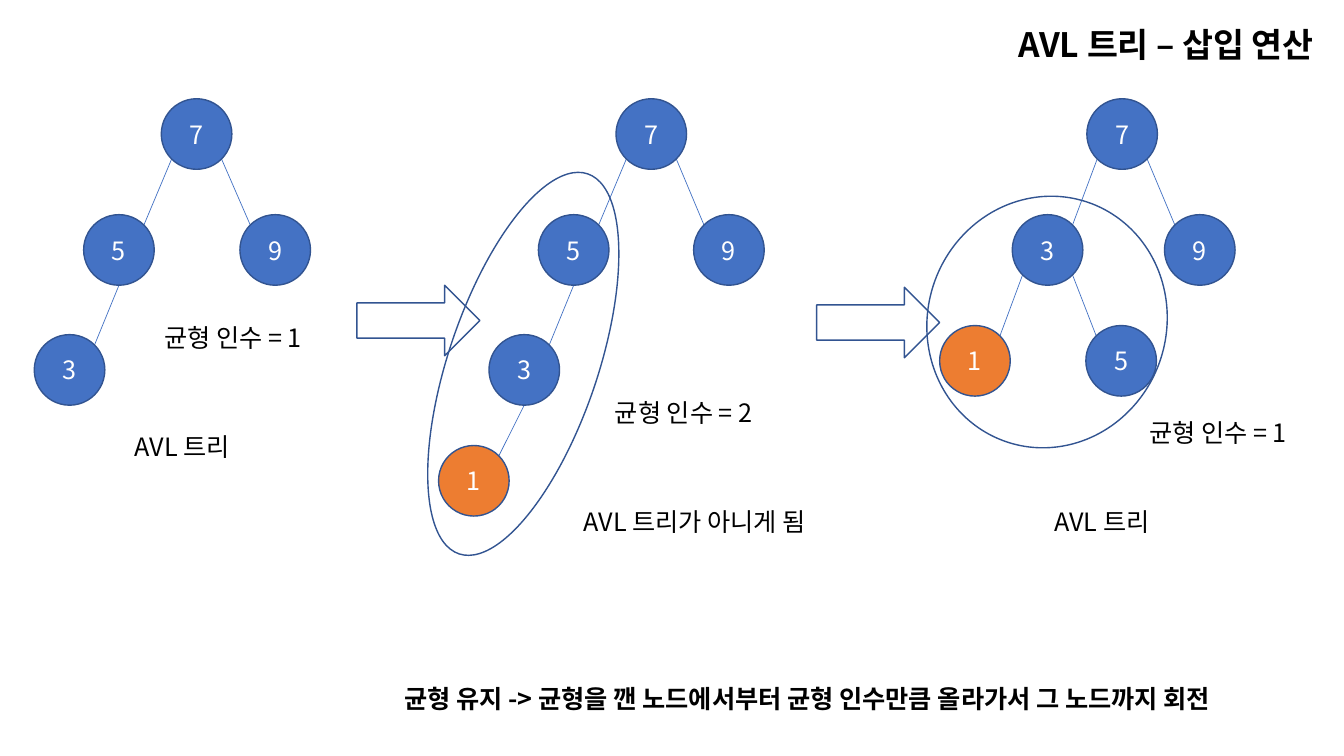
from math import cos, radians, sin

from lxml import etree
from pptx import Presentation
from pptx.dml.color import RGBColor
from pptx.enum.shapes import MSO_CONNECTOR, MSO_SHAPE
from pptx.enum.text import MSO_ANCHOR, MSO_AUTO_SIZE, PP_ALIGN
from pptx.oxml.ns import qn
from pptx.util import Inches, Pt

OVAL, ARROW = MSO_SHAPE.OVAL, MSO_SHAPE.RIGHT_ARROW
STRAIGHT = MSO_CONNECTOR.STRAIGHT
TOP, MIDDLE = MSO_ANCHOR.TOP, MSO_ANCHOR.MIDDLE
LEFT, CENTER, RIGHT = PP_ALIGN.LEFT, PP_ALIGN.CENTER, PP_ALIGN.RIGHT
GROW = MSO_AUTO_SIZE.SHAPE_TO_FIT_TEXT

BLUE = RGBColor(0x44, 0x72, 0xC4)
NAVY = RGBColor(0x32, 0x54, 0x91)
ORANGE = RGBColor(0xED, 0x7D, 0x31)
WHITE = RGBColor(0xFF, 0xFF, 0xFF)
BLACK = RGBColor(0, 0, 0)

FONT = "Noto Sans CJK KR"
NODE = 0.7
TREE_TOP = 0.98

# Trees: node value -> (x, y, parent); places are relative to the tree's corner
TREES = [
    {"left": 0.34,
     "nodes": {7: (1.26, 0, None), 5: (0.49, 1.15, 7), 9: (2.04, 1.15, 7),
               3: (0, 2.34, 5)},
     "labels": [("균형 인수 = 1", 1.19, 2.17, 1.8), ("AVL 트리", 0.9, 3.25, 1.32)]},
    {"left": 4.35,
     "nodes": {7: (1.76, 0, None), 5: (0.99, 1.15, 7), 9: (2.53, 1.15, 7),
               3: (0.5, 2.34, 5), 1: (0, 3.44, 3)},
     "labels": [("균형 인수 = 2", 1.65, 2.91, 1.8),
                ("AVL 트리가 아니게 됨", 1.34, 3.99, 2.76)],
     "ring": (0.1, 0.64, 1.48, 3.98)},
    {"left": 9.32,
     "nodes": {7: (1.46, 0, None), 3: (0.72, 1.15, 7), 9: (2.23, 1.15, 7),
               1: (0, 2.25, 3), 5: (1.45, 2.25, 3)},
     "labels": [("균형 인수 = 1", 1.98, 3.11, 1.8), ("AVL 트리", 1.04, 3.99, 1.23)],
     "ring": (-0.12, 0.96, 2.37, 2.51)},
]
INSERTED = 1


def write(tf, text, align=LEFT, anchor=TOP, size=18, color=BLACK, bold=False):
    tf.vertical_anchor = anchor
    p = tf.paragraphs[0]
    p.alignment = align
    r = p.add_run()
    r.text = text
    for name, value in {"name": FONT, "size": Pt(size), "bold": bold}.items():
        setattr(r.font, name, value)
    r.font.color.rgb = color
    # East Asian typeface for the Korean text
    etree.SubElement(r.font._element, qn("a:ea"), typeface=FONT)


def add_label(s, text, x, y, w, wrap=False, **style):
    tf = s.shapes.add_textbox(*map(Inches, (x, y, w, 0.4))).text_frame
    tf.word_wrap = wrap
    tf.auto_size = GROW
    write(tf, text, **style)


def add_outline(s, kind, box, fill=None):
    sp = s.shapes.add_shape(kind, *map(Inches, box))
    sp.shadow.inherit = False
    if fill is None:
        sp.fill.background()
    else:
        sp.fill.solid()
        sp.fill.fore_color.rgb = fill
    sp.line.color.rgb = NAVY
    sp.line.width = Pt(1)
    return sp


def port(x, y, angle):
    """Point on a node's rim, clockwise from the right."""
    half, a = NODE / 2, radians(angle)
    return x + half + half * cos(a), y + half + half * sin(a)


def add_edge(s, parent, child, only_child):
    """Join a node to its child: from the bottom if alone, else from the side."""
    to_left = child[0] < parent[0]
    start = 90 if only_child else 135 if to_left else 45
    ends = port(*parent, start) + port(*child, -45 if to_left else -135)
    line = s.shapes.add_connector(STRAIGHT, *map(Inches, ends))
    line.line.color.rgb = BLUE
    line.line.width = Pt(0.5)
    etree.SubElement(line._element.spPr, qn("a:effectLst"))


def add_tree(s, left, top, nodes, labels, ring=None):
    places = {key: (left + x, top + y) for key, (x, y, _) in nodes.items()}
    parents = [parent for _, _, parent in nodes.values()]
    for key, (_, _, parent) in nodes.items():
        if parent is not None:
            add_edge(s, places[parent], places[key], parents.count(parent) == 1)
    for key, place in places.items():
        fill = ORANGE if key == INSERTED else BLUE
        sp = add_outline(s, OVAL, (*place, NODE, NODE), fill)
        write(sp.text_frame, str(key), CENTER, MIDDLE, color=WHITE)
    for text, x, y, w in labels:
        add_label(s, text, left + x, top + y, w)
    # Ring around the nodes to rotate
    if ring:
        x, y, w, h = ring
        add_outline(s, OVAL, (left + x, top + y, w, h)).rotation = 18.7


def add_title(s, text, x, y, w, h):
    title = s.shapes.title
    box = {"left": x, "top": y, "width": w, "height": h}
    for name, value in box.items():
        setattr(title, name, Inches(value))
    title.text_frame.word_wrap = True
    title.text_frame.auto_size = GROW
    write(title.text_frame, text, RIGHT, size=24, bold=True)


prs = Presentation()
prs.slide_width, prs.slide_height = Inches(13.33), Inches(7.5)
s = prs.slides.add_slide(prs.slide_layouts[5])

add_title(s, "AVL 트리 – 삽입 연산", 9.38, 0.19, 3.75, 0.5)

# Steps between the trees
for x, y in ((3.54, 2.83), (8.1, 2.85)):
    add_outline(s, ARROW, (x, y, 1.22, 0.7), WHITE)

for tree in TREES:
    add_tree(s, top=TREE_TOP, **tree)

# Rule for keeping the balance
add_label(s, "균형 유지 -> 균형을 깬 노드에서부터 균형 인수만큼 올라가서 그 노드까지 회전",
          3.91, 6.73, 9.3, bold=True)

prs.save("out.pptx")
